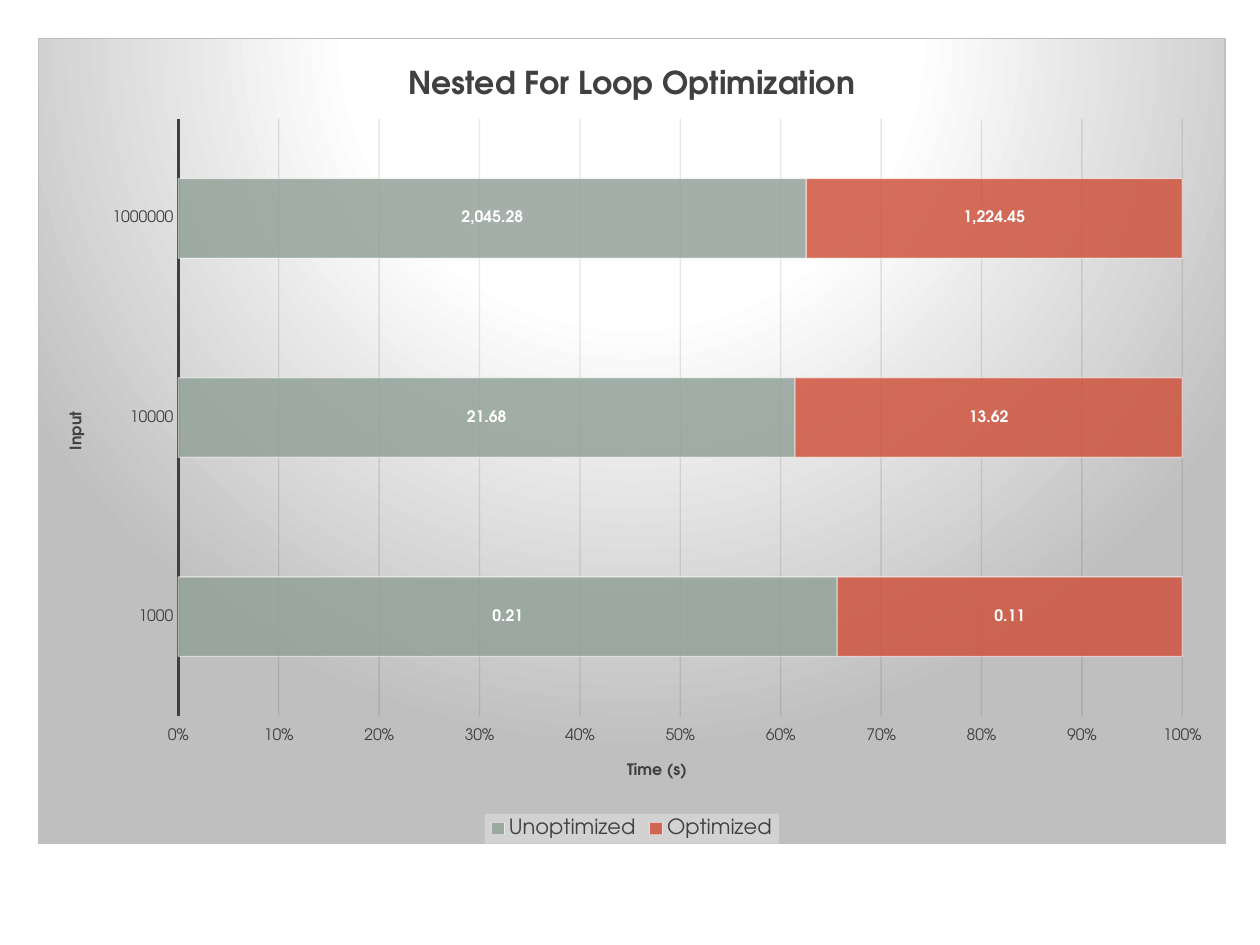
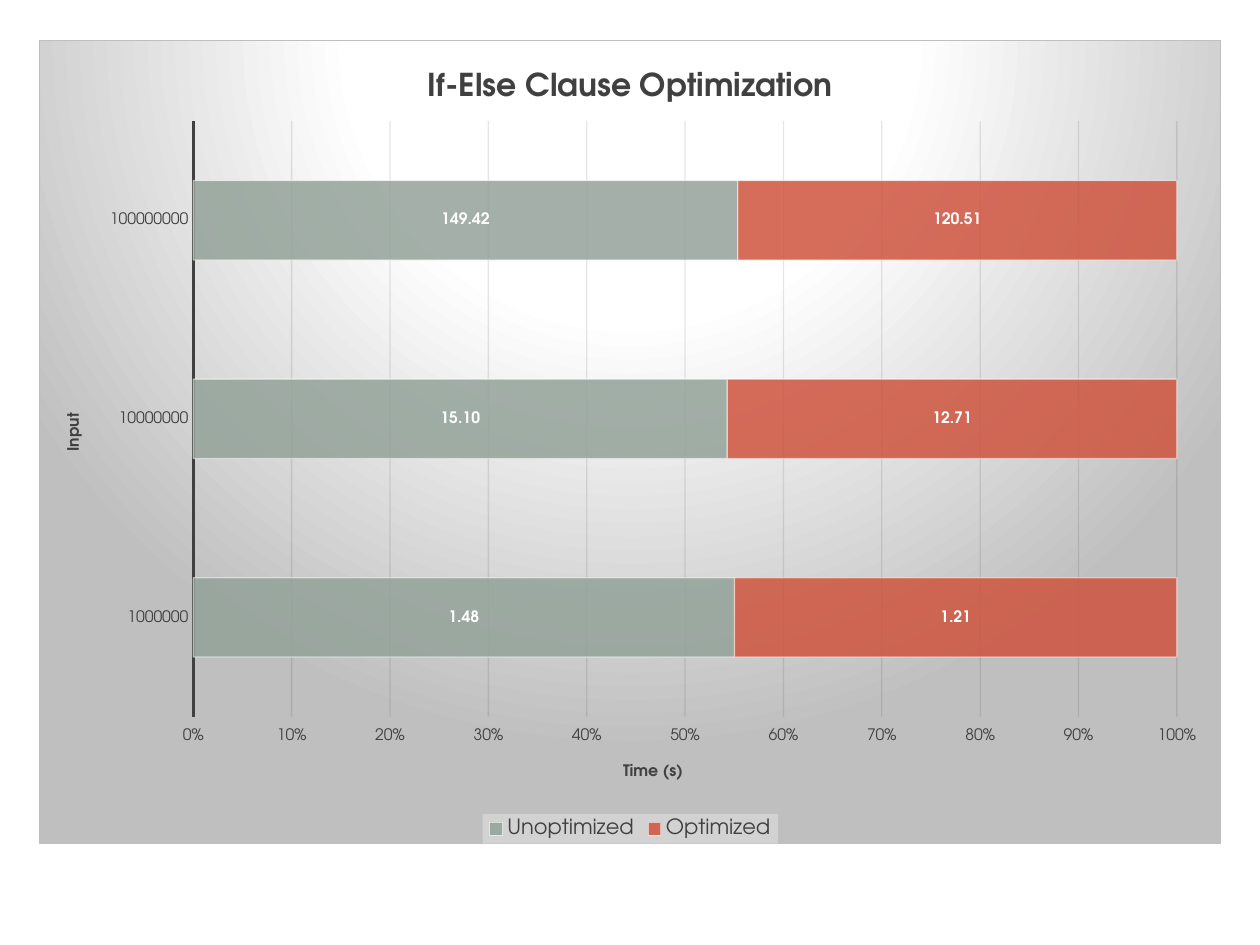
"""Build two slides of stacked bar charts comparing run times before and after optimization."""

from dataclasses import dataclass

from lxml import etree
from pptx import Presentation
from pptx.chart.chart import Chart
from pptx.chart.data import CategoryChartData
from pptx.dml.color import RGBColor
from pptx.dml.line import LineFormat
from pptx.enum.chart import XL_CHART_TYPE, XL_LABEL_POSITION, XL_LEGEND_POSITION, XL_TICK_MARK
from pptx.oxml import parse_xml
from pptx.oxml.ns import nsdecls, qn
from pptx.slide import Slide
from pptx.text.text import Font
from pptx.util import Cm, Pt

STACKED_BARS = XL_CHART_TYPE.BAR_STACKED_100
CENTER = XL_LABEL_POSITION.CENTER
BOTTOM = XL_LEGEND_POSITION.BOTTOM
NO_TICK = XL_TICK_MARK.NONE
TICK_OUT = XL_TICK_MARK.OUTSIDE

FONT_NAME = "TeX Gyre Adventor"
COLORS = {
    "white": "FFFFFF",
    "text": "404040",
    "grid": "0D0D0D",
    "edge": "BFBFBF",
    "legend": "F2F2F2",
    "Unoptimized": "93A299",
    "Optimized": "CF543F",
}
LABEL_FORMAT = {
    "show_value": True,
    "position": CENTER,
    "number_format": "#,##0.00",
    "number_format_is_linked": False,
}
BACKDROP_STOPS = ((0, "white"), (39, "white"), (100, "edge"))


@dataclass(frozen=True)
class Frame:
    """Left, top, width and height of an area."""

    left: float
    top: float
    width: float
    height: float


@dataclass(frozen=True)
class Comparison:
    """One chart: its title, place in centimetres, inner areas as fractions, and data."""

    title: str
    place: Frame
    plot_area: Frame
    legend_area: Frame
    inputs: tuple[int, ...]
    times: dict[str, tuple[float, ...]]


COMPARISONS = (
    Comparison(
        "Nested For Loop Optimization",
        Frame(0.76, 0.76, 23.95, 16.26),
        Frame(0.118, 0.1, 0.846, 0.742),
        Frame(0.376, 0.963, 0.248, 0.037),
        (1000, 10000, 1000000),
        {"Unoptimized": (0.21, 21.68, 2045.28), "Optimized": (0.11, 13.62, 1224.45)},
    ),
    Comparison(
        "If-Else Clause Optimization",
        Frame(0.79, 0.81, 23.83, 16.21),
        Frame(0.13, 0.1, 0.833, 0.742),
        Frame(0.375, 0.963, 0.25, 0.037),
        (1000000, 10000000, 100000000),
        {"Unoptimized": (1.48, 15.1, 149.42), "Optimized": (1.21, 12.71, 120.51)},
    ),
)


def set_font(font: Font, size: float, bold: bool = False, color: str = "text") -> None:
    """Give a font the deck's typeface with a size, weight and colour."""
    for name, value in {"name": FONT_NAME, "size": Pt(size), "bold": bold}.items():
        setattr(font, name, value)
    font.color.rgb = RGBColor.from_string(COLORS[color])


def set_line(line: LineFormat, color: str, width: float) -> None:
    """Give a line a colour and a width in points."""
    line.color.rgb = RGBColor.from_string(COLORS[color])
    line.width = Pt(width)


def set_opacity(chart: Chart, color_query: str, percent: int) -> None:
    """Make every colour found by the query partly transparent."""
    for color in chart.element.xpath(color_query):
        etree.SubElement(color, qn("a:alpha")).set("val", str(percent * 1000))


def set_layout(parent: etree.ElementBase, index: int, area: Frame, inner: bool = False) -> None:
    """Fix the place of a chart part as fractions of the chart."""
    for layout in parent.findall(qn("c:layout")):
        parent.remove(layout)
    target = '<c:layoutTarget val="inner"/>' if inner else ""
    parent.insert(index, parse_xml(
        f'<c:layout {nsdecls("c")}><c:manualLayout>{target}'
        '<c:xMode val="edge"/><c:yMode val="edge"/>'
        f'<c:x val="{area.left}"/><c:y val="{area.top}"/>'
        f'<c:w val="{area.width}"/><c:h val="{area.height}"/>'
        '</c:manualLayout></c:layout>'
    ))


def add_backdrop(chart: Chart) -> None:
    """Fill the chart with a radial gradient and a thin border."""
    stops = "".join(
        f'<a:gs pos="{position * 1000}"><a:srgbClr val="{COLORS[color]}"/></a:gs>'
        for position, color in BACKDROP_STOPS
    )
    chart.element.find(qn("c:chart")).addnext(parse_xml(
        f'<c:spPr {nsdecls("c", "a")}><a:gradFill><a:gsLst>{stops}</a:gsLst>'
        '<a:path path="circle">'
        '<a:fillToRect l="50000" t="-80000" r="50000" b="180000"/></a:path></a:gradFill>'
        f'<a:ln w="9525"><a:solidFill><a:srgbClr val="{COLORS["edge"]}"/></a:solidFill></a:ln>'
        '</c:spPr>'
    ))


def format_axes(chart: Chart) -> None:
    """Style the input and time axes, their titles and the gridlines."""
    inputs, times = chart.category_axis, chart.value_axis
    for axis, title, tick in ((inputs, "Input", NO_TICK), (times, "Time (s)", TICK_OUT)):
        axis.major_tick_mark = tick
        set_font(axis.tick_labels.font, 9)
        frame = axis.axis_title.text_frame
        frame.text = title
        set_font(frame.paragraphs[0].runs[0].font, 9, bold=True)
    for body in inputs.axis_title.element.xpath(".//a:bodyPr"):
        body.set("rot", "-5400000")
        body.set("vert", "horz")
    inputs.has_major_gridlines = False
    set_line(inputs.format.line, "text", 1.5)
    times.has_major_gridlines = True
    times.major_unit = 0.1
    times.tick_labels.number_format = "0%"
    times.tick_labels.number_format_is_linked = False
    times.format.line.fill.background()
    set_line(times.major_gridlines.format.line, "grid", 0.75)
    set_opacity(chart, ".//c:majorGridlines//a:srgbClr", 10)


def format_bars(chart: Chart) -> None:
    """Style the bars and their value labels."""
    plot = chart.plots[0]
    for name, value in {"gap_width": 150, "overlap": 100, "vary_by_categories": False}.items():
        setattr(plot, name, value)
    for series in plot.series:
        series.format.fill.solid()
        series.format.fill.fore_color.rgb = RGBColor.from_string(COLORS[series.name])
        set_line(series.format.line, "white", 0.75)
        labels = series.data_labels
        for name, value in LABEL_FORMAT.items():
            setattr(labels, name, value)
        set_font(labels.font, 9, bold=True, color="white")
    set_opacity(chart, ".//c:ser/c:spPr/a:solidFill/a:srgbClr", 85)
    set_opacity(chart, ".//c:ser/c:spPr/a:ln//a:srgbClr", 50)


def format_legend(chart: Chart, area: Frame) -> None:
    """Place the legend at the bottom on a translucent panel."""
    chart.has_legend = True
    chart.legend.position = BOTTOM
    chart.legend.include_in_layout = False
    set_font(chart.legend.font, 12)
    legend = chart.element.xpath(".//c:legend")[0]
    set_layout(legend, 1, area)
    legend.find(qn("c:txPr")).addprevious(parse_xml(
        f'<c:spPr {nsdecls("c", "a")}><a:solidFill><a:srgbClr val="{COLORS["legend"]}">'
        '<a:alpha val="39000"/></a:srgbClr></a:solidFill><a:ln><a:noFill/></a:ln></c:spPr>'
    ))


def add_comparison(page: Slide, comparison: Comparison) -> None:
    """Draw one comparison chart on a page."""
    data = CategoryChartData()
    data.categories = comparison.inputs
    for name, values in comparison.times.items():
        data.add_series(name, values)
    place = comparison.place
    lengths = (Cm(length) for length in (place.left, place.top, place.width, place.height))
    chart = page.shapes.add_chart(STACKED_BARS, *lengths, data).chart
    set_font(chart.font, 10)
    chart.has_title = True
    chart.chart_title.include_in_layout = False
    title = chart.chart_title.text_frame
    title.text = comparison.title
    set_font(title.paragraphs[0].runs[0].font, 18, bold=True)
    format_axes(chart)
    format_bars(chart)
    format_legend(chart, comparison.legend_area)
    set_layout(chart.element.xpath(".//c:plotArea")[0], 0, comparison.plot_area, inner=True)
    add_backdrop(chart)


def main() -> None:
    """Build and save the deck."""
    deck = Presentation()
    deck.slide_width, deck.slide_height = Cm(25.4), Cm(19.05)
    blank = deck.slide_layouts.get_by_name("Blank")
    for comparison in COMPARISONS:
        add_comparison(deck.slides.add_slide(blank), comparison)
    deck.save("out.pptx")


if __name__ == "__main__":
    main()
